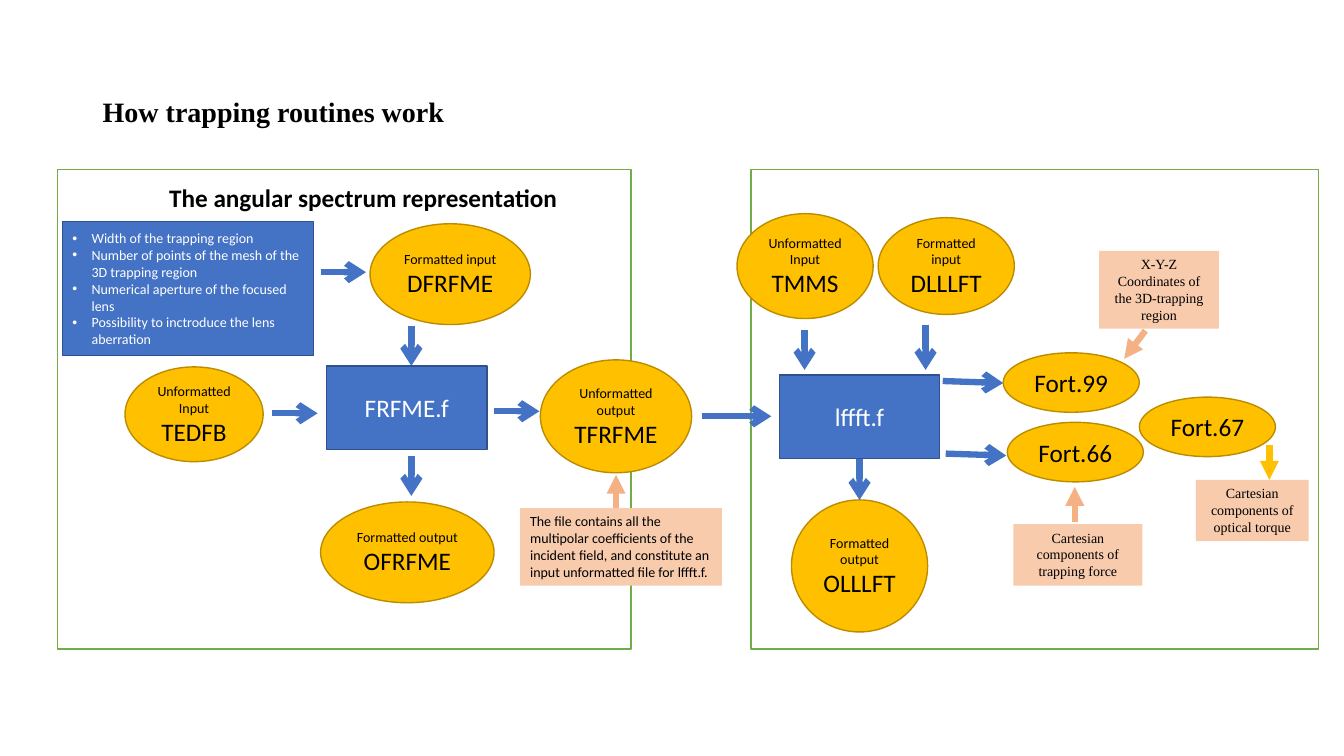
import pptx
import pptx.dml.color
import pptx.enum.shapes
import pptx.enum.text
import pptx.oxml.ns
import pptx.util
import lxml.etree

RGBColor = pptx.dml.color.RGBColor
MSO_SHAPE = pptx.enum.shapes.MSO_SHAPE
ANCHOR = pptx.enum.text.MSO_ANCHOR
ALIGN = pptx.enum.text.PP_ALIGN

EMU_PER_PX = 9144  # 100 px to the inch
WHITE = RGBColor(0xFF, 0xFF, 0xFF)
BLACK = RGBColor(0x00, 0x00, 0x00)
BLUE = RGBColor(0x44, 0x72, 0xC4)
DARK_BLUE = RGBColor(0x2F, 0x52, 0x8F)
GOLD = RGBColor(0xFF, 0xC0, 0x00)
DARK_GOLD = RGBColor(0xBC, 0x8C, 0x00)
GREEN = RGBColor(0x70, 0xAD, 0x47)
PEACH = RGBColor(0xF8, 0xCB, 0xAD)
ORANGE = RGBColor(0xF4, 0xB1, 0x83)
SANS, SERIF = "Calibri", "Times New Roman"
SMALL, LARGE, TITLE = 10, 18, 20


def px(length):
    return pptx.util.Emu(length * EMU_PER_PX)


def add_xml(parent, tag, **attributes):
    return lxml.etree.SubElement(parent, pptx.oxml.ns.qn(tag), attributes)


class FlowSlide:
    def __init__(self, presentation):
        self.slide = presentation.slides.add_slide(presentation.slide_layouts[6])

    def add_text(self, shape, paragraphs, color=BLACK, font=SANS, bold=False,
                 align=ALIGN.CENTER, **frame_format):
        """Fill a shape with paragraphs, each a list of (text, size) runs."""
        frame = shape.text_frame
        for name, value in {"word_wrap": True, **frame_format}.items():
            setattr(frame, name, value)
        for index, runs in enumerate(paragraphs):
            paragraph = frame.add_paragraph() if index else frame.paragraphs[0]
            paragraph.alignment = align
            for text, size in runs:
                run = paragraph.add_run()
                run.text = text
                run.font.color.rgb = color
                font_format = {"name": font, "size": pptx.util.Pt(size), "bold": bold}
                for name, value in font_format.items():
                    setattr(run.font, name, value)

    def shape(self, kind, box, fill=None, line=None):
        shape = self.slide.shapes.add_shape(kind, *map(px, box))
        shape.shadow.inherit = False
        if fill is None:
            shape.fill.background()
        else:
            shape.fill.solid()
            shape.fill.fore_color.rgb = fill
        if line is None:
            shape.line.fill.background()
        else:
            shape.line.color.rgb = line
            shape.line.width = pptx.util.Pt(1)
        return shape

    def frame(self, box):
        self.shape(MSO_SHAPE.RECTANGLE, box, line=GREEN)

    def heading(self, box, text, size, font, **frame_format):
        heading = self.slide.shapes.add_textbox(*map(px, box))
        self.add_text(heading, [[(text, size)]], font=font, bold=True,
                      align=ALIGN.LEFT, **frame_format)
        return heading

    def routine(self, box, name):
        routine = self.shape(MSO_SHAPE.RECTANGLE, box, BLUE, DARK_BLUE)
        self.add_text(routine, [[(name, LARGE)]], WHITE, vertical_anchor=ANCHOR.MIDDLE)
        return routine

    def data_file(self, box, paragraphs):
        data_file = self.shape(MSO_SHAPE.OVAL, box, GOLD, DARK_GOLD)
        self.add_text(data_file, paragraphs, vertical_anchor=ANCHOR.MIDDLE,
                      margin_left=px(5), margin_right=px(5))
        return data_file

    def note(self, box, text, font=SERIF, align=ALIGN.CENTER):
        note = self.shape(MSO_SHAPE.RECTANGLE, box, PEACH)
        self.add_text(note, [[(text, SMALL)]], font=font, align=align,
                      vertical_anchor=ANCHOR.TOP)

    def bullets(self, box, items):
        panel = self.shape(MSO_SHAPE.RECTANGLE, box, BLUE, DARK_BLUE)
        self.add_text(panel, [[(item, SMALL)] for item in items], WHITE,
                      align=ALIGN.LEFT, vertical_anchor=ANCHOR.MIDDLE)
        for paragraph in panel.text_frame.paragraphs:
            properties = paragraph._p.get_or_add_pPr()
            properties.set("marL", str(px(19)))
            properties.set("indent", str(px(-19)))
            add_xml(properties, "a:buFont", typeface="Arial")
            add_xml(properties, "a:buChar", char="•")

    def arrow(self, points, color=BLUE, head="arrow"):
        arrow = self.slide.shapes.add_connector(
            pptx.enum.shapes.MSO_CONNECTOR.STRAIGHT, *map(px, points))
        arrow.line.color.rgb = color
        arrow.line.width = pptx.util.Pt(4.5)
        add_xml(arrow.line._get_or_add_ln(), "a:tailEnd", type=head)
        add_xml(arrow._element.spPr, "a:effectLst")
        return arrow


def main():
    presentation = pptx.Presentation()
    presentation.slide_width, presentation.slide_height = px(1333), px(750)
    flow = FlowSlide(presentation)

    title = flow.heading((92, 40, 1150, 145), "How trapping routines work", TITLE,
                         SERIF, vertical_anchor=ANCHOR.MIDDLE)
    title.text_frame.paragraphs[0].line_spacing = 0.9
    flow.frame((745, 168, 563, 476))
    flow.frame((57, 168, 569, 476))
    flow.heading((158, 176, 408, 40), "The angular spectrum representation", LARGE,
                 SANS, word_wrap=False)

    flow.bullets((62, 220, 249, 133), [
        "Width of the trapping region",
        "Number of points of the mesh of the 3D trapping region",
        "Numerical aperture of the focused lens",
        "Possibility to inctroduce the lens aberration",
    ])
    flow.routine((324, 363, 159, 83), "FRFME.f")
    lffft = flow.routine((773, 372, 159, 83), "lffft.f")

    unformatted_input = [[("Unformatted", SMALL)], [("Input", SMALL)]]
    files = {
        "TEDFB": ((124, 364, 137, 94), unformatted_input + [[("TEDFB", LARGE)]]),
        "TMMS": ((731, 212, 135, 104), unformatted_input + [[("TMMS", LARGE)]]),
        "DLLLFT": ((871, 216, 135, 96),
                   [[("Formatted input", SMALL)], [("DLLLFT", LARGE)]]),
    }
    for name, label, box in [
        ("DFRFME", "Formatted input ", (367, 222, 159, 100)),
        ("OFRFME", "Formatted output ", (318, 498, 172, 100)),
        ("TFRFME", "Unformatted output ", (536, 357, 150, 112)),
        ("OLLLFT", "Formatted output ", (785, 496, 135, 131)),
    ]:
        files[name] = box, [[(label, SMALL), (name, LARGE)]]
    for name, left, top in [("Fort.66", 999, 419), ("Fort.99", 995, 350),
                            ("Fort.67", 1130, 394)]:
        files[name] = (left, top, 135, 59), [[(name, LARGE)]]
    ovals = {name: flow.data_file(*details) for name, details in files.items()}

    flow.note((516, 504, 200, 77),
              "The file contains all the multipolar coefficients of the incident "
              "field, and constitute an input unformatted file for lffft.f.",
              SANS, ALIGN.LEFT)
    flow.note((1090, 249, 119, 77), "X-Y-Z Coordinates of the 3D-trapping region")
    flow.note((1005, 520, 128, 61), "Cartesian components of trapping force")
    flow.note((1186, 476, 112, 61), "Cartesian components of optical torque")

    for points in [
        (270, 410, 315, 410), (408, 452, 408, 492), (490, 408, 535, 408),
        (696, 413, 765, 413), (408, 323, 408, 363), (918, 322, 918, 367),
        (935, 378, 995, 380), (318, 270, 363, 270), (798, 327, 798, 367),
        (938, 450, 998, 452),
    ]:
        flow.arrow(points)
    lffft_output = flow.arrow((853, 455, 853, 496))
    lffft_output.begin_connect(lffft, 2)
    lffft_output.end_connect(ovals["OLLLFT"], 0)
    for points, color in [
        ((611, 504, 611, 471), ORANGE), ((1259, 441, 1259, 476), GOLD),
        ((1136, 328, 1115, 356), ORANGE), ((1066, 518, 1066, 483), ORANGE),
    ]:
        flow.arrow(points, color, "triangle")

    presentation.save("out.pptx")


if __name__ == "__main__":
    main()
